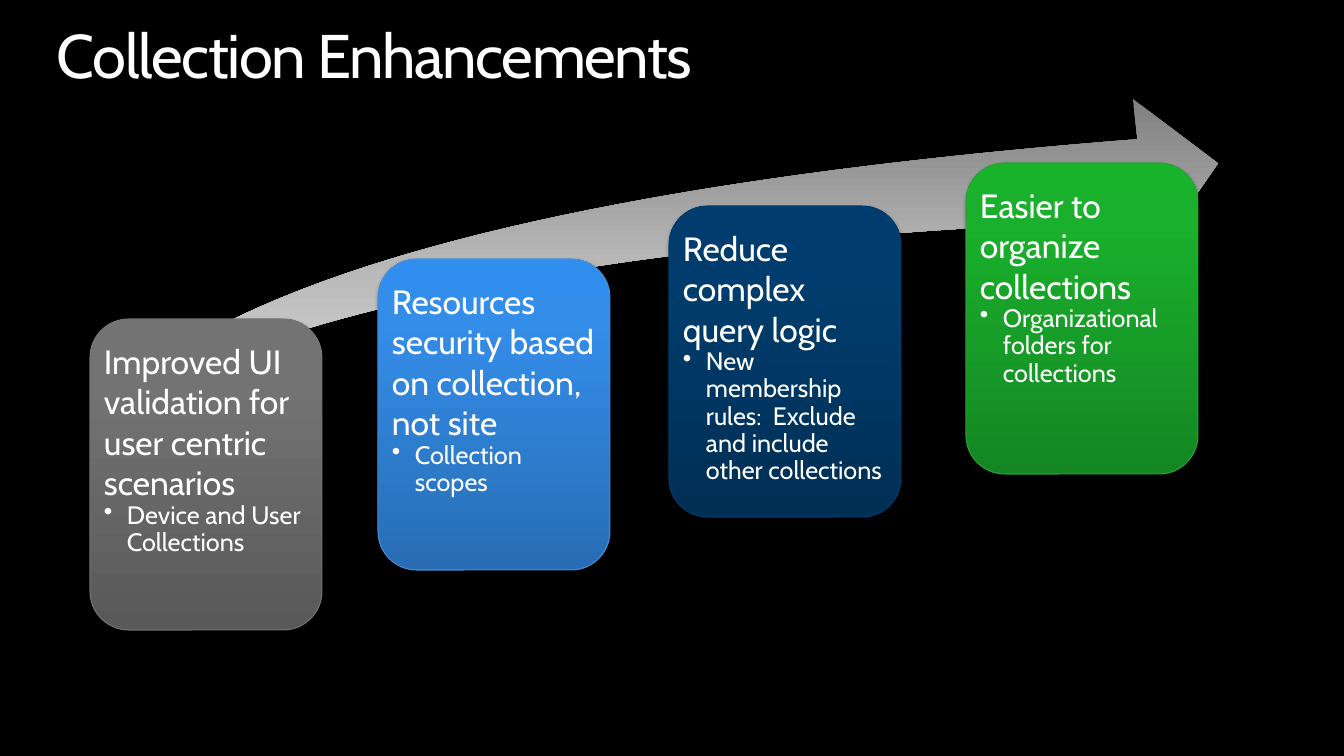
from copy import deepcopy

from lxml.etree import SubElement
from pptx import Presentation
from pptx.dml.color import RGBColor
from pptx.enum.shapes import MSO_SHAPE as Preset
from pptx.enum.text import MSO_ANCHOR as Anchor, MSO_AUTO_SIZE as AutoSize, PP_ALIGN as Align
from pptx.oxml.ns import qn
from pptx.util import Pt

PX = 914400 / 100.8
FONT = "Cabin"
BLACK = RGBColor(0x00, 0x00, 0x00)
WHITE = RGBColor(0xFF, 0xFF, 0xFF)

# Gradient stops: (position, colour)
SILVER = ((0, RGBColor(0x80, 0x80, 0x80)), (0.5, RGBColor(0xB7, 0xB7, 0xB7)),
          (1, RGBColor(0xD9, 0xD9, 0xD9)))
GRAY = ((0, RGBColor(0x59, 0x59, 0x59)), (0.8, RGBColor(0x73, 0x73, 0x73)),
        (1, RGBColor(0x74, 0x74, 0x74)))
BLUE = ((0, RGBColor(0x28, 0x6D, 0xB4)), (0.8, RGBColor(0x34, 0x8D, 0xE9)),
        (1, RGBColor(0x30, 0x8E, 0xEE)))
NAVY = ((0, RGBColor(0x00, 0x2F, 0x55)), (0.8, RGBColor(0x00, 0x3D, 0x6E)),
        (1, RGBColor(0x00, 0x3D, 0x6F)))
GREEN = ((0, RGBColor(0x14, 0x87, 0x22)), (0.8, RGBColor(0x1A, 0xAF, 0x2C)),
         (1, RGBColor(0x18, 0xB3, 0x2A)))
GRAY_EDGE = RGBColor(0x74, 0x74, 0x74)
BLUE_EDGE = RGBColor(0x46, 0x8F, 0xDA)
NAVY_EDGE = RGBColor(0x00, 0x3E, 0x6F)
GREEN_EDGE = RGBColor(0x29, 0xA2, 0x37)

CARD_WIDTH, CARD_HEIGHT = 232, 311
# Left, top, gradient, edge, heading, detail
CARDS = (
    (90, 319, GRAY, GRAY_EDGE, "Improved UI validation for user centric scenarios",
     "Device and User Collections"),
    (378, 259, BLUE, BLUE_EDGE, "Resources security based on collection, not site",
     "Collection scopes"),
    (669, 206, NAVY, NAVY_EDGE, "Reduce complex query logic",
     "New membership rules:  Exclude and include other collections"),
    (966, 163, GREEN, GREEN_EDGE, "Easier to organize collections",
     "Organizational folders for collections"),
)


def emu(*lengths):
    return [round(length * PX) for length in lengths]


def set_all(target, formats):
    for name, value in formats.items():
        setattr(target, name, value)


def write(paragraph, wording, size):
    run = paragraph.add_run()
    run.text = wording
    set_all(run.font, {"name": FONT, "size": Pt(size)})
    run.font.color.rgb = WHITE
    return run


def set_margins(frame, px):
    margin = emu(px)[0]
    set_all(frame, {f"margin_{side}": margin for side in ("left", "top", "right", "bottom")})


def paint(shape, stops, angle):
    """Give the shape a gradient (angle counter-clockwise) and a soft shadow below."""
    shape.fill.gradient()
    shape.fill.gradient_angle = angle
    properties = shape._element.spPr
    stop_list = properties.find(qn("a:gradFill")).find(qn("a:gsLst"))
    stop_list.append(deepcopy(stop_list[-1]))
    for gradient_stop, (position, color) in zip(shape.fill.gradient_stops, stops):
        gradient_stop.position = position
        gradient_stop.color.rgb = color

    shape.shadow.inherit = False
    shadow = SubElement(properties.find(qn("a:effectLst")), qn("a:outerShdw"),
                        blurRad="40000", dist="23000", dir="5400000", rotWithShape="0")
    shade = SubElement(shadow, qn("a:srgbClr"), val=str(BLACK))
    SubElement(shade, qn("a:alpha"), val="35000")


def add_title(slide, wording, left, top, width, height):
    title = slide.shapes.title
    box = emu(left, top, width, height)
    set_all(title, dict(zip(("left", "top", "width", "height"), box)))
    frame = title.text_frame
    set_all(frame, {"word_wrap": True, "vertical_anchor": Anchor.TOP,
                    "auto_size": AutoSize.SHAPE_TO_FIT_TEXT})
    set_margins(frame, 0)
    paragraph = frame.paragraphs[0]
    set_all(paragraph, {"alignment": Align.LEFT, "line_spacing": 0.9})
    run = write(paragraph, wording, 44)
    run.font._element.set("spc", "-100")


def add_rising_arrow(slide, left, top, width, height):
    arrow = slide.shapes.add_shape(Preset.SWOOSH_ARROW, *emu(left, top, width, height))
    for index in range(2):
        arrow.adjustments[index] = 0.25
    paint(arrow, SILVER, 270)
    arrow.line.fill.background()


def add_card(slide, left, top, stops, edge, heading, detail):
    card = slide.shapes.add_group_shape().shapes
    panel = card.add_shape(Preset.ROUNDED_RECTANGLE, *emu(left, top, CARD_WIDTH, CARD_HEIGHT))
    paint(panel, stops, 90)
    panel.line.color.rgb = edge
    panel.line.width = Pt(0.75)

    caption = card.add_textbox(*emu(left + 7, top + 15, CARD_WIDTH - 15, CARD_HEIGHT - 30))
    frame = caption.text_frame
    set_all(frame, {"word_wrap": True, "vertical_anchor": Anchor.TOP})
    set_margins(frame, 7)
    write(frame.paragraphs[0], heading, 24)

    bullet = frame.add_paragraph()
    set_all(bullet, {"level": 1, "line_spacing": 0.9})
    write(bullet, detail, 18)
    properties = bullet._p.get_or_add_pPr()
    indent = emu(23)[0]
    properties.set("marL", str(indent))
    properties.set("indent", str(-indent))
    SubElement(properties, qn("a:buChar"), char="•")


def main():
    deck = Presentation()
    deck.slide_width, deck.slide_height = emu(1344, 756)
    slide = deck.slides.add_slide(deck.slide_layouts[5])
    slide.background.fill.solid()
    slide.background.fill.fore_color.rgb = BLACK
    add_title(slide, "Collection Enhancements", 57, 25, 1229, 68)
    add_rising_arrow(slide, 90, 99, 1128, 322)
    for card in CARDS:
        add_card(slide, *card)
    deck.save("out.pptx")


if __name__ == "__main__":
    main()
